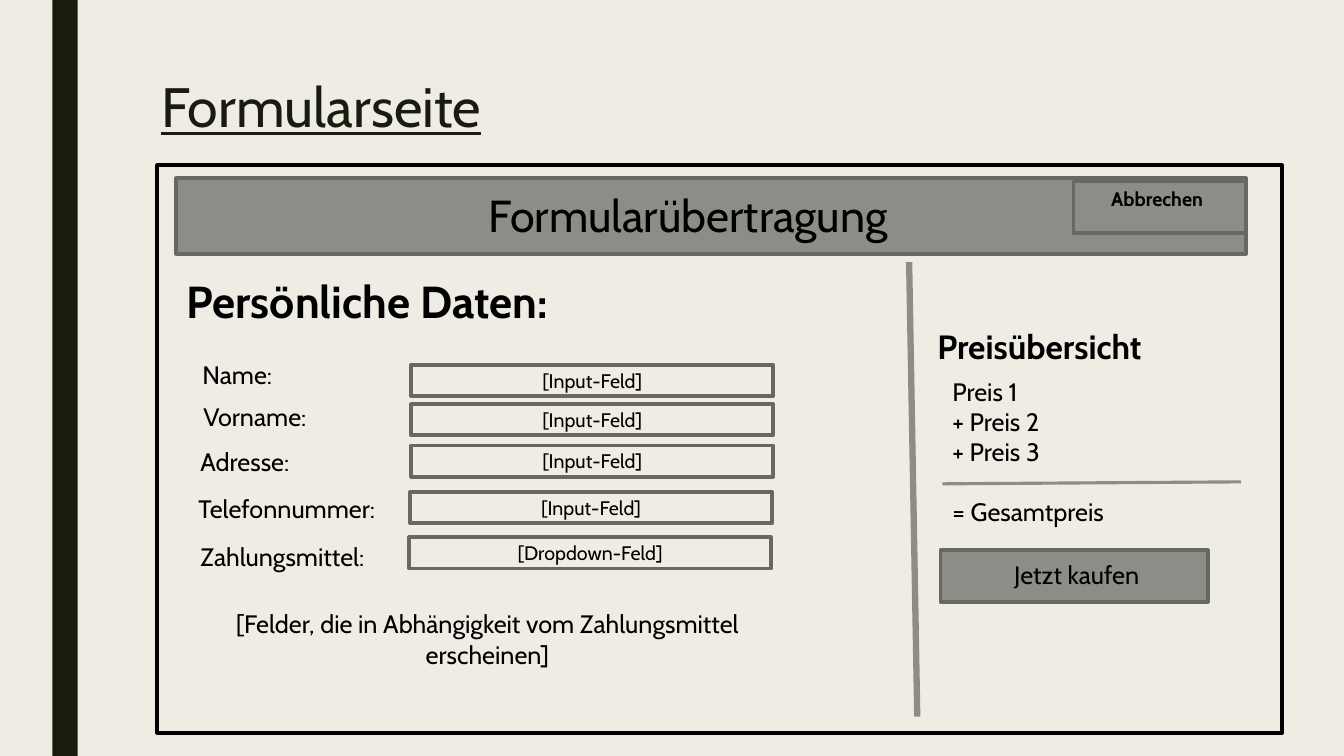
from lxml.etree import SubElement
from pptx import Presentation
from pptx.dml.color import RGBColor
from pptx.enum.shapes import MSO_CONNECTOR, MSO_SHAPE
from pptx.enum.text import MSO_ANCHOR, MSO_AUTO_SIZE, PP_ALIGN
from pptx.oxml.ns import qn
from pptx.util import Pt

BACKGROUND = RGBColor(0xEF, 0xED, 0xE3)
DARK = RGBColor(0x19, 0x1B, 0x0E)
BLACK = RGBColor(0, 0, 0)
GREY = RGBColor(0x8C, 0x8D, 0x86)
BORDER = RGBColor(0x68, 0x68, 0x63)
FONT = "Cabin"

# Label, its left and top, field text, its left and top
FORM_ROWS = [
    ("Name:", 137.5, 253.4, "[Input-Feld]", 293.8, 260.6),
    ("Vorname:", 138.2, 283, "[Input-Feld]", 293.8, 288.7),
    ("Adresse:", 136.1, 315.4, "[Input-Feld]", 293.8, 318.2),
    ("Telefonnummer:", 134.6, 348.5, "[Input-Feld]", 293, 351.4),
    ("Zahlungsmittel:", 136.1, 383, "[Dropdown-Feld]", 292.3, 383.8),
]
FIELD_SIZE = (258.5, 22.3)
LABEL_SIZE = (148, 29)


def apply(target, formats):
    for attribute, value in formats.items():
        setattr(target, attribute, value)


def write(frame, lines, size, color=BLACK, align=PP_ALIGN.LEFT, frame_format=None, **font_format):
    """Fill a text frame with one paragraph per line."""
    apply(frame, {"word_wrap": True, "auto_size": MSO_AUTO_SIZE.NONE,
                  "vertical_anchor": MSO_ANCHOR.TOP, **(frame_format or {})})
    for index, line in enumerate(lines):
        paragraph = frame.add_paragraph() if index else frame.paragraphs[0]
        paragraph.alignment = align
        run = paragraph.add_run()
        run.text = line
        apply(run.font, {"name": FONT, "size": Pt(size), **font_format})
        run.font.color.rgb = color


def add_text(slide, box, lines, size, **formats):
    frame = slide.shapes.add_textbox(*map(Pt, box)).text_frame
    write(frame, lines, size, **formats)
    return frame


def add_box(slide, box, fill=None, border=None):
    rectangle = slide.shapes.add_shape(MSO_SHAPE.RECTANGLE, *map(Pt, box))
    rectangle.shadow.inherit = False
    if fill is None:
        rectangle.fill.background()
    else:
        rectangle.fill.solid()
        rectangle.fill.fore_color.rgb = fill
    if border is None:
        rectangle.line.fill.background()
    else:
        rectangle.line.color.rgb = border
        rectangle.line.width = Pt(2.75)
    return rectangle


def add_labelled_box(slide, box, label, size, fill=None, frame_format=None, **font_format):
    centred = {"margin_top": 0, "margin_bottom": 0, "vertical_anchor": MSO_ANCHOR.MIDDLE}
    write(add_box(slide, box, fill, BORDER).text_frame, [label], size,
          align=PP_ALIGN.CENTER, frame_format={**centred, **(frame_format or {})}, **font_format)


def add_divider(slide, ends, width):
    divider = slide.shapes.add_connector(MSO_CONNECTOR.STRAIGHT, *map(Pt, ends))
    divider.line.color.rgb = GREY
    divider.line.width = Pt(width)
    SubElement(divider._element.spPr, qn("a:effectLst"))


def add_title(slide, text):
    title = slide.shapes.title
    apply(title, dict(zip(("left", "top", "width", "height"), map(Pt, (108, 54, 756, 53.3)))))
    write(title.text_frame, [text], 39.6, color=DARK, underline=True)
    title.text_frame.paragraphs[0].line_spacing = 0.89


def add_form(slide):
    add_text(slide, (126, 192.2, 301.7, 46), ["Persönliche Daten:"], 32, bold=True)
    for label, label_left, label_top, field, field_left, field_top in FORM_ROWS:
        add_text(slide, (label_left, label_top, *LABEL_SIZE), [label], 18)
        add_labelled_box(slide, (field_left, field_top, *FIELD_SIZE), field, 14)
    add_text(slide, (144.7, 431.3, 406.8, 51),
             ["[Felder, die in Abhängigkeit vom Zahlungsmittel erscheinen]"], 18,
             align=PP_ALIGN.CENTER)


def add_price_overview(slide):
    add_text(slide, (662.4, 229, 171.4, 36), ["Preisübersicht"], 24, bold=True)
    prices = add_text(slide, (673.2, 265, 174.2, 116.6),
                      ["Preis 1", "+ Preis 2", "+ Preis 3", "= Gesamtpreis"], 18)
    prices.paragraphs[-1].space_before = Pt(21.5)
    add_divider(slide, (886.3, 344.2, 673.2, 345.6), 2.25)
    add_labelled_box(slide, (671.8, 393.1, 190.8, 36.7), "Jetzt kaufen", 18, GREY,
                     {"margin_left": Pt(10.8), "margin_bottom": Pt(3)})


def main():
    presentation = Presentation()
    apply(presentation, {"slide_width": Pt(960), "slide_height": Pt(540)})
    slide = presentation.slides.add_slide(presentation.slide_layouts[5])
    slide.background.fill.solid()
    slide.background.fill.fore_color.rgb = BACKGROUND

    # Side bar, title and page frame
    add_box(slide, (37.4, 0, 18, 540), DARK)
    add_title(slide, "Formularseite")
    add_box(slide, (112.3, 118.1, 803.5, 405.4), border=BLACK)

    # Page header with cancel button
    add_labelled_box(slide, (126, 127.4, 763.9, 54), "Formularübertragung", 32, GREY,
                     {"margin_right": Pt(39.6), "margin_bottom": Pt(2)})
    add_labelled_box(slide, (766.8, 129.6, 123.1, 36.7), "Abbrechen", 14, GREY,
                     {"vertical_anchor": MSO_ANCHOR.TOP, "margin_top": Pt(3.6),
                      "margin_right": Pt(10.8)}, bold=True)

    # Form on the left, prices on the right
    add_form(slide)
    add_divider(slide, (649.4, 187.2, 655.2, 511.9), 4.5)
    add_price_overview(slide)

    presentation.save("out.pptx")


main()
